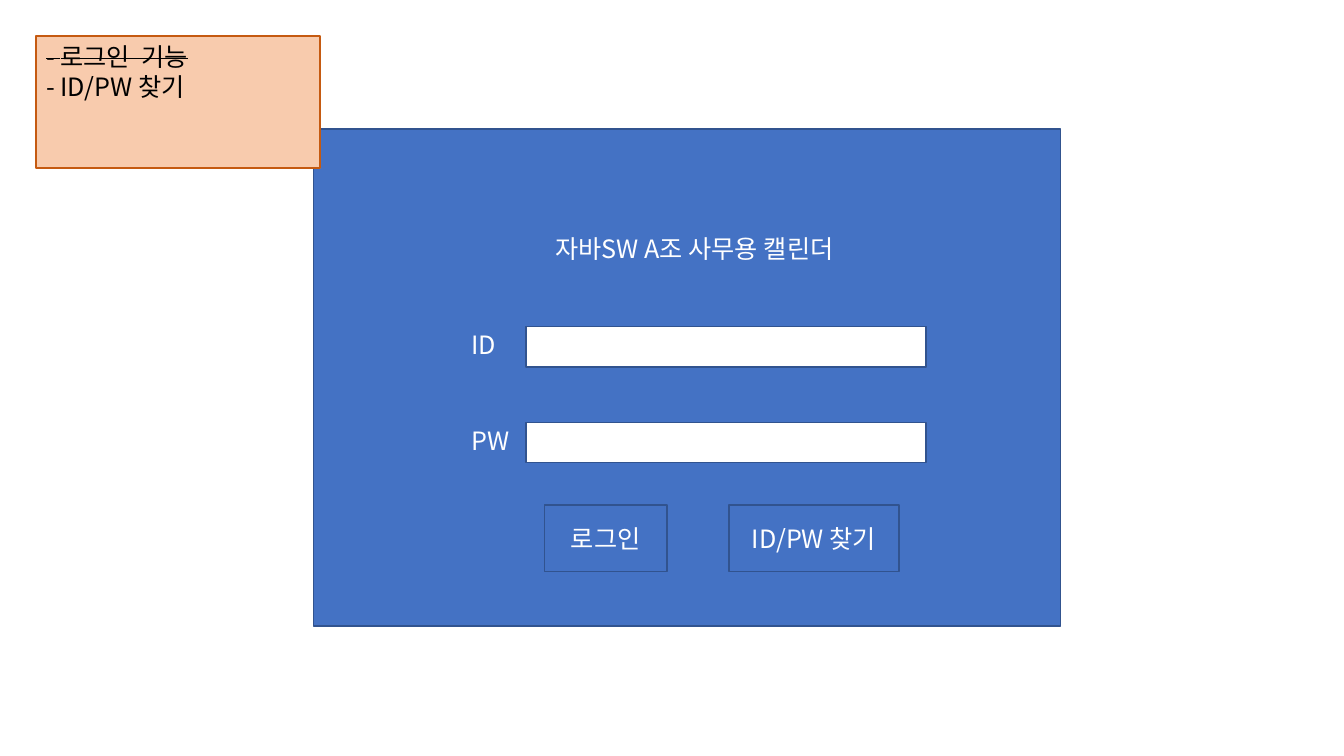
from dataclasses import dataclass
from lxml.etree import SubElement
from pptx import Presentation
from pptx.dml.color import RGBColor
from pptx.enum.shapes import MSO_SHAPE
from pptx.enum.text import MSO_ANCHOR, PP_ALIGN
from pptx.oxml.ns import qn
from pptx.slide import Slide
from pptx.util import Pt


@dataclass(frozen=True)
class Theme:
    face: str = "Noto Sans CJK KR"
    size: float = 18
    blue: str = "4472C4"
    navy: str = "31538F"
    peach: str = "F8CBAD"
    rust: str = "C55A11"
    white: str = "FFFFFF"
    black: str = "000000"
    thin: float = 1
    thick: float = 1.5


THEME = Theme()


@dataclass(frozen=True)
class Line:
    text: str
    struck: bool = False


@dataclass(frozen=True)
class Box:
    left: float
    top: float
    width: float
    height: float
    lines: tuple[Line, ...] = ()
    fill: str | None = None
    edge: str = THEME.navy
    weight: float = THEME.thin
    ink: str = THEME.white
    align: PP_ALIGN = PP_ALIGN.CENTER
    anchor: MSO_ANCHOR = MSO_ANCHOR.MIDDLE


def apply(target: object, form: dict[str, object]) -> None:
    for name, value in form.items():
        setattr(target, name, value)


def write(frame: object, box: Box) -> None:
    apply(frame, {"word_wrap": True, "vertical_anchor": box.anchor})
    for num, line in enumerate(box.lines):
        para = frame.add_paragraph() if num else frame.paragraphs[0]
        para.alignment = box.align
        run = para.add_run()
        run.text = line.text
        apply(run.font, {"name": THEME.face, "size": Pt(THEME.size)})
        run.font.color.rgb = RGBColor.from_string(box.ink)
        props = run.font._element
        SubElement(props, qn("a:ea")).set("typeface", THEME.face)
        if line.struck:
            props.set("strike", "sngStrike")


def draw(slide: Slide, box: Box) -> None:
    area = [Pt(size) for size in (box.left, box.top, box.width, box.height)]
    if box.fill:
        shape = slide.shapes.add_shape(MSO_SHAPE.RECTANGLE, *area)
        shape.shadow.inherit = False
        shape.fill.solid()
        shape.fill.fore_color.rgb = RGBColor.from_string(box.fill)
        shape.line.color.rgb = RGBColor.from_string(box.edge)
        shape.line.width = Pt(box.weight)
    else:
        shape = slide.shapes.add_textbox(*area)
    if box.lines:
        write(shape.text_frame, box)


def label(text: str, left: float, top: float, width: float,
          align: PP_ALIGN) -> Box:
    return Box(left, top, width, 28.8, (Line(text),), align=align,
               anchor=MSO_ANCHOR.TOP)


def button(text: str, left: float, width: float) -> Box:
    return Box(left, 360.7, width, 47.5, (Line(text),), THEME.blue)


def field(name: str, top: float) -> list[Box]:
    return [
        Box(375.8, top, 285.8, 28.8, fill=THEME.white),
        label(name, 329.8, top - 1.4, 54.7, PP_ALIGN.LEFT),
    ]


def main() -> None:
    deck = Presentation()
    apply(deck, {"slide_width": Pt(960), "slide_height": Pt(540)})
    slide = deck.slides.add_slide(deck.slide_layouts[6])
    boxes = [
        Box(223.9, 92.2, 533.5, 355, fill=THEME.blue),
        label(" 자바SW A조 사무용 캘린더", 254.2, 163.4, 479.5, PP_ALIGN.CENTER),
        *field("ID", 233.3),
        *field("PW", 301.7),
        button("로그인", 388.8, 87.8),
        button("ID/PW 찾기", 520.6, 121.7),
        Box(25.9, 25.9, 203, 94.3,
            (Line("- 로그인  기능", True), Line("- ID/PW 찾기")),
            THEME.peach, THEME.rust, THEME.thick, THEME.black,
            PP_ALIGN.LEFT, MSO_ANCHOR.TOP),
    ]
    for box in boxes:
        draw(slide, box)
    deck.save("out.pptx")


if __name__ == "__main__":
    main()
